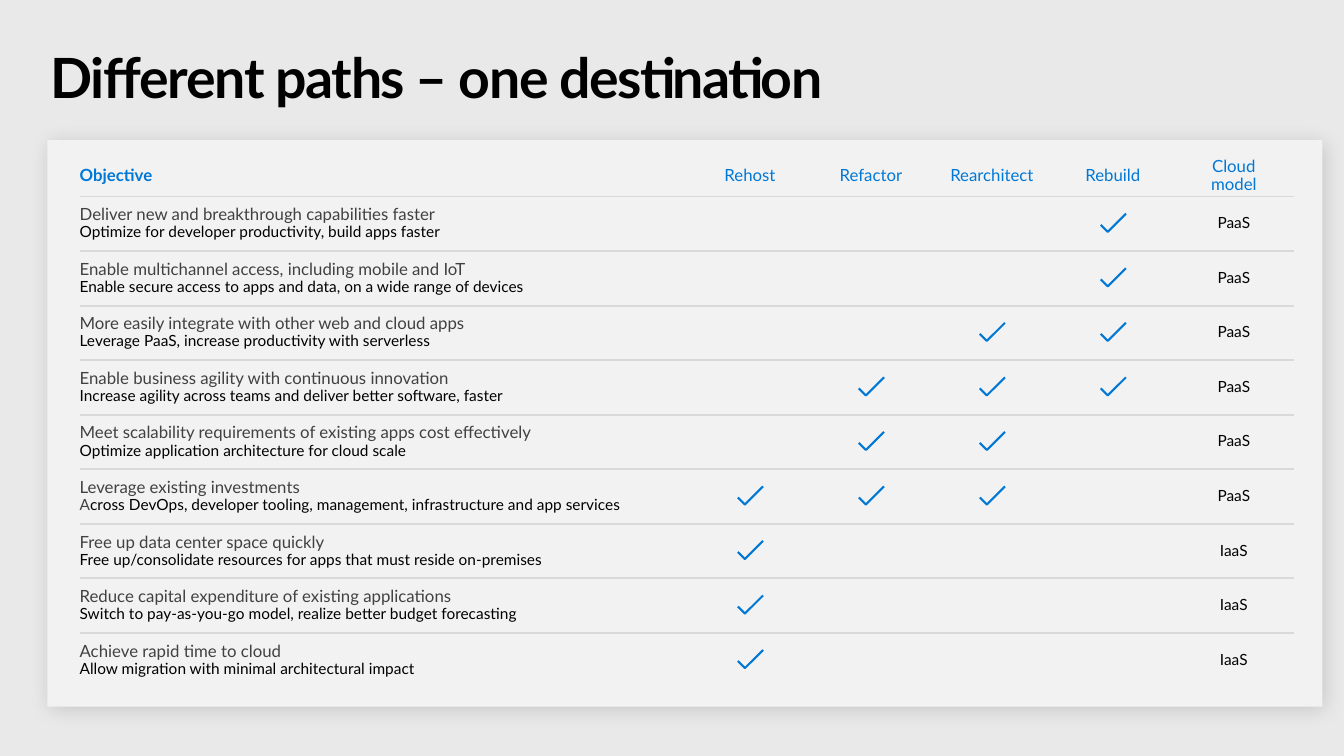
from lxml import etree
from pptx import Presentation
from pptx.dml.color import RGBColor
from pptx.enum.shapes import MSO_SHAPE
from pptx.enum.text import MSO_ANCHOR, MSO_AUTO_SIZE, PP_ALIGN
from pptx.oxml.ns import qn
from pptx.util import Inches, Pt

RECT = MSO_SHAPE.RECTANGLE
TOP, MIDDLE = MSO_ANCHOR.TOP, MSO_ANCHOR.MIDDLE
LEFT, CENTER = PP_ALIGN.LEFT, PP_ALIGN.CENTER
NO_FIT = MSO_AUTO_SIZE.NONE

# Grid: each unit is a tenth of an inch
WIDE, HIGH = 133.33, 75
X, Y = 7.9, 15.4
FIRST, COL = 60.5, 12
HEAD, ROW = 4.1, 5.41
PLAIN = "{2D5ABB26-0587-4C30-8999-92F81FD0307C}"  # no style, no grid

BLACK, GRAY, BLUE = "000000", "404140", "0078D7"
RULE, TICK = "D9D9D9", "0078D4"

HEADS = ["Objective", "Rehost", "Refactor", "Rearchitect", "Rebuild",
         "Cloud\nmodel"]
# Objective, detail, ticked columns, cloud model
GOALS = [
    ("Deliver new and breakthrough capabilities faster",
     "Optimize for developer productivity, build apps faster", [3], "PaaS"),
    ("Enable multichannel access, including mobile and IoT",
     "Enable secure access to apps and data, on a wide range of devices",
     [3], "PaaS"),
    ("More easily integrate with other web and cloud apps",
     "Leverage PaaS, increase productivity with serverless", [2, 3], "PaaS"),
    ("Enable business agility with continuous innovation",
     "Increase agility across teams and deliver better software, faster",
     [1, 2, 3], "PaaS"),
    ("Meet scalability requirements of existing apps cost effectively",
     "Optimize application architecture for cloud scale", [1, 2], "PaaS"),
    ("Leverage existing investments",
     "Across DevOps, developer tooling, management, infrastructure and app "
     "services", [0, 1, 2], "PaaS"),
    ("Free up data center space quickly",
     "Free up/consolidate resources for apps that must reside on-premises",
     [0], "IaaS"),
    ("Reduce capital expenditure of existing applications",
     "Switch to pay-as-you-go model, realize better budget forecasting",
     [0], "IaaS"),
    ("Achieve rapid time to cloud",
     "Allow migration with minimal architectural impact", [0], "IaaS"),
]


def unit(n):
    return Inches(n / 10)


def color(code):
    return RGBColor.from_string(code)


def child(node, tag, **attrs):
    return etree.SubElement(node, qn(tag), attrs)


class Deck:
    font = "Lato"
    lead = 0.9

    def __init__(self):
        self.prs = Presentation()
        self.prs.slide_width, self.prs.slide_height = unit(WIDE), unit(HIGH)
        self.slide = self.prs.slides.add_slide(self.prs.slide_layouts[5])
        self.shapes = self.slide.shapes

    def ground(self, code):
        fill = self.slide.background.fill
        fill.solid()
        fill.fore_color.rgb = color(code)

    def words(self, frame, lines, align=LEFT):
        """Each line is a list of runs: text, size, colour, bold."""
        for i, runs in enumerate(lines):
            para = frame.add_paragraph() if i else frame.paragraphs[0]
            para.alignment, para.line_spacing = align, self.lead
            for text, size, code, bold in runs:
                for k, part in enumerate(text.split("\n")):
                    if k:
                        para.add_line_break()
                    run = para.add_run()
                    run.text = part
                    run.font.name, run.font.size = self.font, Pt(size)
                    run.font.bold = bold
                    run.font.color.rgb = color(code)

    def title(self, text, x, y, w, h):
        box = self.shapes.title
        box.left, box.top, box.width, box.height = map(unit, (x, y, w, h))
        frame = box.text_frame
        frame.auto_size, frame.vertical_anchor = NO_FIT, TOP
        frame.margin_left = frame.margin_right = 0
        frame.margin_top = frame.margin_bottom = 0
        self.words(frame, [[(text, 39.6, BLACK, True)]])
        run = frame.paragraphs[0].runs[0]
        run.font._element.set("spc", "-100")

    def panel(self, x, y, w, h, code):
        card = self.shapes.add_shape(RECT, *map(unit, (x, y, w, h)))
        card.fill.solid()
        card.fill.fore_color.rgb = color(code)
        card.line.fill.background()
        card.shadow.inherit = False
        effects = card._element.spPr.find(qn("a:effectLst"))
        shade = child(effects, "a:outerShdw", blurRad=str(Pt(15)),
                      dist=str(Pt(3)), dir="2700000", rotWithShape="0")
        child(child(shade, "a:srgbClr", val=BLACK), "a:alpha", val="15000")

    def table(self, x, y, cols, rows):
        spots = map(unit, (x, y, sum(cols), sum(rows)))
        grid = self.shapes.add_table(len(rows), len(cols), *spots).table
        grid.first_row = grid.horz_banding = False
        grid._tbl.tblPr.find(qn("a:tableStyleId")).text = PLAIN
        for col, w in zip(grid.columns, cols):
            col.width = unit(w)
        for row, h in zip(grid.rows, rows):
            row.height = unit(h)
        return grid

    def cell(self, cell, lines, align, ruled):
        cell.fill.background()
        cell.vertical_anchor = MIDDLE
        cell.margin_left = cell.margin_right = 0
        cell.margin_top = cell.margin_bottom = 0
        self.words(cell.text_frame, lines, align)
        if ruled:
            props = cell._tc.get_or_add_tcPr()
            line = child(props, "a:lnB", w=str(Pt(1.5)))
            child(child(line, "a:solidFill"), "a:srgbClr", val=RULE)
            props.insert(0, line)

    def tick(self, x, y):
        pen = self.shapes.build_freeform(unit(x + 2.5), unit(y))
        ends = [(x + 0.7, y + 1.8), (x, y + 1.1)]
        pen.add_line_segments([(unit(a), unit(b)) for a, b in ends],
                              close=False)
        mark = pen.convert_to_shape()
        mark.fill.background()
        mark.line.color.rgb = color(TICK)
        mark.line.width = Pt(1.5)
        mark.shadow.inherit = False


def main():
    deck = Deck()
    deck.ground("E9E9E9")
    deck.title("Different paths – one destination", 5, 5, 123.3, 6.5)
    deck.panel(4.7, 13.9, 126.5, 56.2, "F2F2F2")

    # Header row
    last = len(HEADS) - 1
    grid = deck.table(X, Y, [FIRST] + [COL] * last,
                      [HEAD] + [ROW] * len(GOALS))
    for c, head in enumerate(HEADS):
        deck.cell(grid.cell(0, c), [[(head, 12, BLUE, c == 0)]],
                  CENTER if c else LEFT, True)

    # Objectives and cloud models
    for r, (goal, note, _, model) in enumerate(GOALS, 1):
        runs = [(note, 11, BLACK, False)]
        if note.startswith("Across"):
            runs = [(note[0], 11, GRAY, False), (note[1:], 11, BLACK, False)]
        texts = {0: [[(goal, 12, GRAY, False)], runs],
                 last: [[(model, 11, BLACK, False)]]}
        for c in range(last + 1):
            deck.cell(grid.cell(r, c), texts.get(c, []),
                      CENTER if c else LEFT, r < len(GOALS))

    # Ticks
    for r, (_, _, ticks, _) in enumerate(GOALS):
        for c in ticks:
            deck.tick(X + FIRST + COL * c + 4.8, Y + HEAD + ROW * r + 1.7)

    deck.prs.save("out.pptx")


if __name__ == "__main__":
    main()
